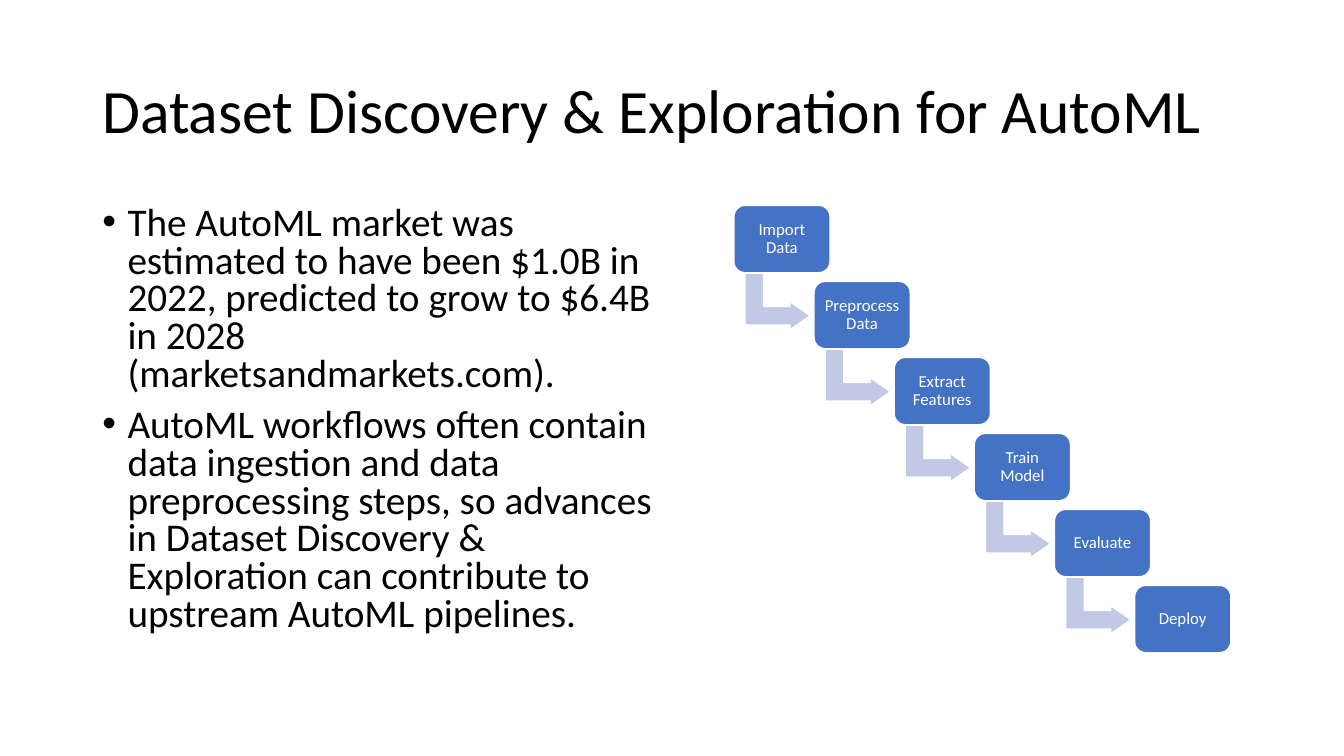
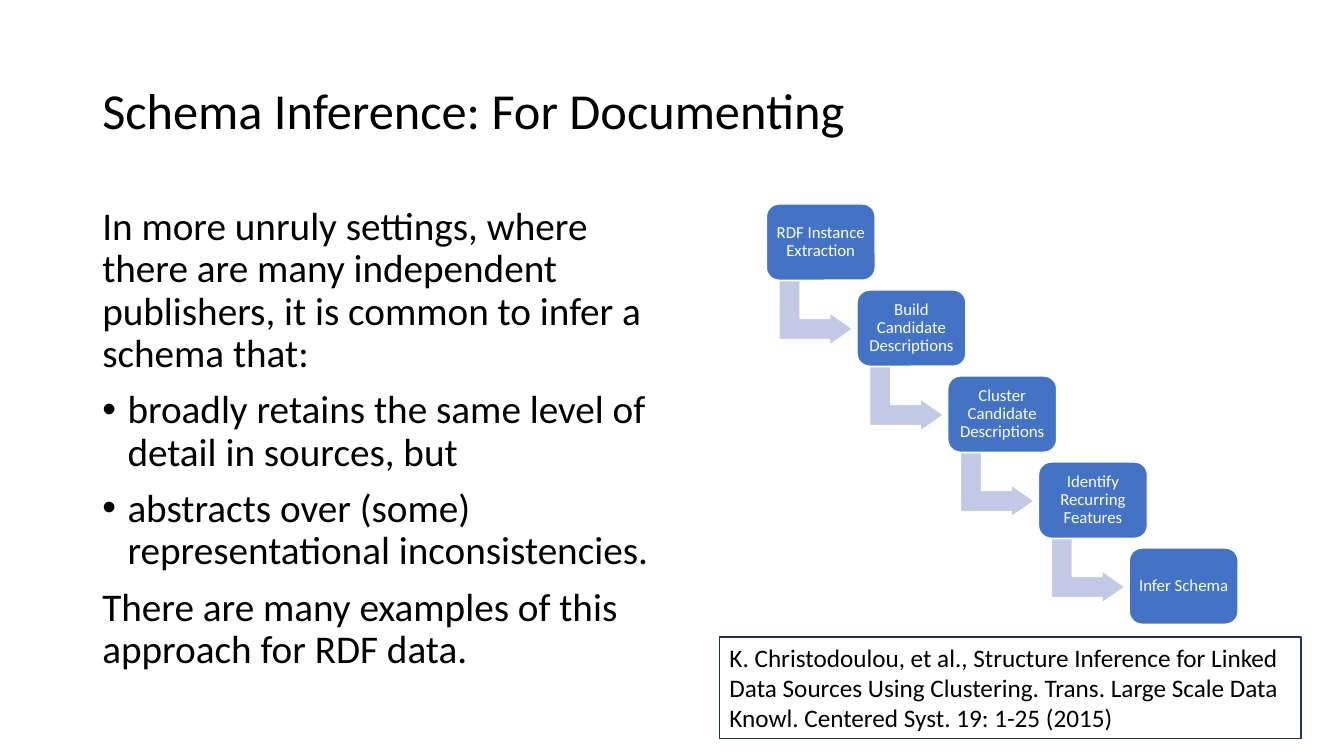
from dataclasses import dataclass
from lxml.etree import SubElement as Sub
from pptx import Presentation as Deck
from pptx.dml.color import RGBColor as Rgb
from pptx.enum.shapes import MSO_SHAPE as Kind
from pptx.enum.text import MSO_ANCHOR as Anchor, PP_ALIGN as Align
from pptx.oxml.ns import qn
from pptx.util import Pt


@dataclass(frozen=True)
class Theme:
    font: str = "Calibri"
    ink: str = "000000"
    white: str = "FFFFFF"
    blue: str = "4472C4"
    pale: str = "C1C9E4"
    navy: str = "1E3256"
    title: int = 44
    small: int = 36
    body: int = 28
    cite: int = 18
    step: int = 12
    indent: int = 18


look = Theme()
HEAD = (66, 28.8, 828, 104.4)
BODY = (66, 144, 408, 342.6)


def pts(box):
    return [Pt(round(v, 2)) for v in box]


def mark(para):
    props = para._p.get_or_add_pPr()
    props.set("marL", str(Pt(look.indent)))
    props.set("indent", str(-Pt(look.indent)))
    Sub(props, qn("a:buFont")).set("typeface", "Arial")
    Sub(props, qn("a:buChar")).set("char", "•")


def write(shape, *lines, size, color=look.ink, align=Align.LEFT,
          anchor=Anchor.TOP, lead=0.9, gap=0, pad=None):
    frame = shape.text_frame
    frame.word_wrap = True
    frame.vertical_anchor = anchor
    if pad is not None:
        frame.margin_left = frame.margin_right = Pt(pad)
        frame.margin_top = frame.margin_bottom = Pt(pad)
    for i, line in enumerate(lines):
        para = frame.add_paragraph() if i else frame.paragraphs[0]
        if line.startswith("• "):
            mark(para)
        para.text = line.removeprefix("• ")
        para.alignment = align
        para.line_spacing = lead
        para.space_before = Pt(gap if i else 0)
        font = para.font
        font.name, font.size = look.font, Pt(size)
        font.color.rgb = Rgb.from_string(color)


def draw(shapes, kind, box, fill=None, line=look.white):
    shape = shapes.add_shape(kind, *pts(box))
    shape.shadow.inherit = False
    if fill:
        shape.fill.solid()
        shape.fill.fore_color.rgb = Rgb.from_string(fill)
    else:
        shape.fill.background()
    shape.line.color.rgb = Rgb.from_string(line)
    shape.line.width = Pt(1)
    return shape


def stairs(slide, left, top, width, steps):
    unit = width / (1 + (len(steps) - 1) * 5 / 6)
    shapes = slide.shapes.add_group_shape().shapes
    for i, step in enumerate(steps):
        x, y = left + i * unit * 5 / 6, top + i * unit * 0.79
        if i < len(steps) - 1:
            arrow = draw(shapes, Kind.BENT_UP_ARROW,
                         (x + unit * 0.16, y + unit * 0.66,
                          unit * 0.59, unit * 0.68), look.pale)
            arrow.rotation = 90
            for k, value in enumerate((0.33, 0.25, 0.36)):
                arrow.adjustments[k] = value
        card = draw(shapes, Kind.ROUNDED_RECTANGLE,
                    (x, y, unit, unit * 0.7), look.blue)
        write(card, step, size=look.step, color=look.white,
              align=Align.CENTER, anchor=Anchor.MIDDLE, pad=3.6)


def page(deck, title, lines, size=look.title, lead=0.9):
    slide = deck.slides.add_slide(deck.slide_layouts[6])
    head = slide.shapes.add_textbox(*pts(HEAD))
    write(head, title, size=size, anchor=Anchor.MIDDLE)
    body = slide.shapes.add_textbox(*pts(BODY))
    write(body, *lines, size=look.body, lead=lead, gap=10)
    return slide


def source(slide, box, text):
    frame = draw(slide.shapes, Kind.RECTANGLE, box, line=look.navy)
    write(frame, text, size=look.cite, lead=1.0)


def main():
    deck = Deck()
    deck.slide_width, deck.slide_height = Pt(960), Pt(540)

    slide = page(deck, "Dataset Discovery & Exploration for AutoML", (
        "• The AutoML market was estimated to have been $1.0B in 2022, "
        "predicted to grow to $6.4B in 2028 (marketsandmarkets.com).",
        "• AutoML workflows often contain data ingestion and data "
        "preprocessing steps, so advances in Dataset Discovery & "
        "Exploration can contribute to upstream AutoML pipelines.",
    ), lead=0.8)
    stairs(slide, 524.2, 146.7, 355, (
        "Import Data", "Preprocess Data", "Extract Features",
        "Train Model", "Evaluate", "Deploy"))

    slide = page(deck, "Schema Inference: For Documenting", (
        "In more unruly settings, where there are many independent "
        "publishers, it is common to infer a schema that:",
        "• broadly retains the same level of detail in sources, but",
        "• abstracts over (some) representational inconsistencies.",
        "There are many examples of this approach for RDF data.",
    ), size=look.small)
    stairs(slide, 547.4, 145.7, 337, (
        "RDF Instance Extraction", "Build Candidate Descriptions",
        "Cluster Candidate Descriptions", "Identify Recurring Features",
        "Infer Schema"))
    source(slide, (514, 455, 415.4, 72.7),
           "K. Christodoulou, et al., Structure Inference for Linked "
           "Data Sources Using Clustering. Trans. Large Scale Data "
           "Knowl. Centered Syst. 19: 1-25 (2015)")

    deck.save("out.pptx")


if __name__ == "__main__":
    main()
